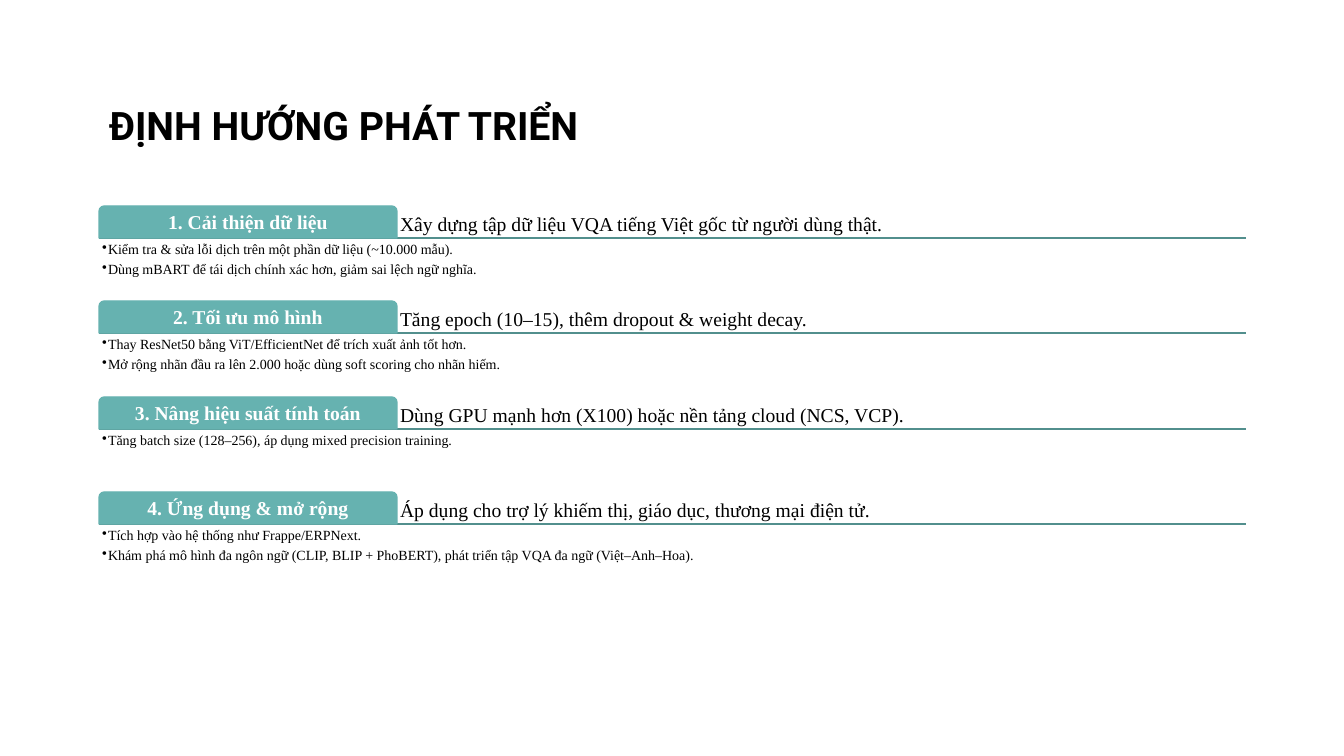
from lxml import etree
from pptx import Presentation
from pptx.dml.color import RGBColor
from pptx.enum.shapes import MSO_CONNECTOR, MSO_SHAPE
from pptx.enum.text import MSO_ANCHOR, MSO_AUTO_SIZE, PP_ALIGN
from pptx.oxml.ns import qn
from pptx.util import Emu, Inches, Pt

STRAIGHT = MSO_CONNECTOR.STRAIGHT
TAB_SHAPE = MSO_SHAPE.ROUND_2_SAME_RECTANGLE
TOP, MIDDLE, BOTTOM = MSO_ANCHOR.TOP, MSO_ANCHOR.MIDDLE, MSO_ANCHOR.BOTTOM
LEFT, CENTER = PP_ALIGN.LEFT, PP_ALIGN.CENTER
NO_FIT = MSO_AUTO_SIZE.NONE

PX = Inches(1) / 100.8
COLORS = {"text": "000000", "white": "FFFFFF", "tab": "66B2B0", "rule": "528F8D"}
TITLE_FONT, BODY_FONT = "Roboto", "Times New Roman"

# Section grid, in px
MARGIN_LEFT, CONTENT_WIDTH = 99, 1147
TAB_WIDTH, TAB_HEIGHT, LIST_HEIGHT = 298, 32, 63
FIRST_TOP, TWO_ROWS = 206, 191

SECTIONS = [
    ("1. Cải thiện dữ liệu",
     "Xây dựng tập dữ liệu VQA tiếng Việt gốc từ người dùng thật.",
     ["Kiểm tra & sửa lỗi dịch trên một phần dữ liệu (~10.000 mẫu).",
      "Dùng mBART để tái dịch chính xác hơn, giảm sai lệch ngữ nghĩa."]),
    ("2. Tối ưu mô hình",
     "Tăng epoch (10–15), thêm dropout & weight decay.",
     ["Thay ResNet50 bằng ViT/EfficientNet để trích xuất ảnh tốt hơn.",
      "Mở rộng nhãn đầu ra lên 2.000 hoặc dùng soft scoring cho nhãn hiếm."]),
    ("3. Nâng hiệu suất tính toán",
     "Dùng GPU mạnh hơn (X100) hoặc nền tảng cloud (NCS, VCP).",
     ["Tăng batch size (128–256), áp dụng mixed precision training."]),
    ("4. Ứng dụng & mở rộng",
     "Áp dụng cho trợ lý khiếm thị, giáo dục, thương mại điện tử.",
     ["Tích hợp vào hệ thống như Frappe/ERPNext.",
      "Khám phá mô hình đa ngôn ngữ (CLIP, BLIP + PhoBERT), "
      "phát triển tập VQA đa ngữ (Việt–Anh–Hoa)."]),
]


def px(length):
    return Emu(round(length * PX))


def color(name):
    return RGBColor.from_string(COLORS[name])


class SlideBuilder:
    def __init__(self, presentation):
        self.slide = presentation.slides.add_slide(presentation.slide_layouts[5])
        self.shapes = self.slide.shapes

    def style(self, paragraph, size, font=BODY_FONT, ink="text", bold=False, align=LEFT):
        paragraph.alignment = align
        paragraph.font.name = font
        paragraph.font.size = Pt(size)
        paragraph.font.bold = bold
        paragraph.font.color.rgb = color(ink)

    def frame(self, shape, anchor, top=3):
        frame = shape.text_frame
        frame.word_wrap = True
        frame.vertical_anchor = anchor
        frame.margin_left = frame.margin_right = frame.margin_bottom = px(3)
        frame.margin_top = px(top)
        return frame

    def title(self, text, left, top, width, height):
        title = self.shapes.title
        title.left, title.top = px(left), px(top)
        title.width, title.height = px(width), px(height)
        frame = title.text_frame
        frame.auto_size = NO_FIT
        frame.vertical_anchor = BOTTOM
        frame.text = text
        paragraph = frame.paragraphs[0]
        paragraph.line_spacing = 0.9
        self.style(paragraph, 28, font=TITLE_FONT, bold=True)

    def rule(self, left, top, width):
        line = self.shapes.add_connector(
            STRAIGHT, px(left), px(top), px(left + width), px(top))
        line.line.color.rgb = color("rule")
        line.line.width = Pt(1)
        properties = line.element.find(qn("p:spPr"))
        etree.SubElement(properties, qn("a:effectLst"))

    def tab(self, text, left, top, width, height):
        tab = self.shapes.add_shape(
            TAB_SHAPE, px(left), px(top), px(width), px(height))
        tab.shadow.inherit = False
        tab.fill.solid()
        tab.fill.fore_color.rgb = color("tab")
        tab.line.color.rgb = color("tab")
        tab.line.width = Pt(1)
        # The smaller top margin offsets the inset of the rounded corners
        frame = self.frame(tab, MIDDLE, top=1)
        frame.text = text
        self.style(frame.paragraphs[0], 14, ink="white", bold=True, align=CENTER)

    def heading(self, text, left, top, width, height):
        box = self.shapes.add_textbox(px(left), px(top), px(width), px(height))
        frame = self.frame(box, BOTTOM)
        frame.text = text
        self.style(frame.paragraphs[0], 14)

    def bullets(self, items, left, top, width, height):
        box = self.shapes.add_textbox(px(left), px(top), px(width), px(height))
        frame = self.frame(box, TOP)
        frame.text = "\n".join(items)
        for paragraph in frame.paragraphs:
            paragraph.level = 1
            paragraph.space_after = Pt(2)
            properties = paragraph._p.get_or_add_pPr()
            properties.set("marL", str(px(6)))
            properties.set("indent", str(px(-6)))
            etree.SubElement(properties, qn("a:buChar"), char="•")
            self.style(paragraph, 10)


def main():
    presentation = Presentation()
    presentation.slide_width, presentation.slide_height = px(1344), px(756)
    builder = SlideBuilder(presentation)

    # Title
    builder.title("ĐỊNH HƯỚNG PHÁT TRIỂN", MARGIN_LEFT, 8, CONTENT_WIDTH, 146)

    # Sections: rule, tab with heading, bullets
    for index, (name, heading, items) in enumerate(SECTIONS):
        top = FIRST_TOP + index * TWO_ROWS // 2
        bottom = top + TAB_HEIGHT
        builder.rule(MARGIN_LEFT, bottom, CONTENT_WIDTH)
        builder.heading(heading, MARGIN_LEFT + TAB_WIDTH, top,
                        CONTENT_WIDTH - TAB_WIDTH, TAB_HEIGHT)
        builder.tab(name, MARGIN_LEFT, top, TAB_WIDTH, TAB_HEIGHT)
        builder.bullets(items, MARGIN_LEFT, bottom, CONTENT_WIDTH, LIST_HEIGHT)

    presentation.save("out.pptx")


if __name__ == "__main__":
    main()
